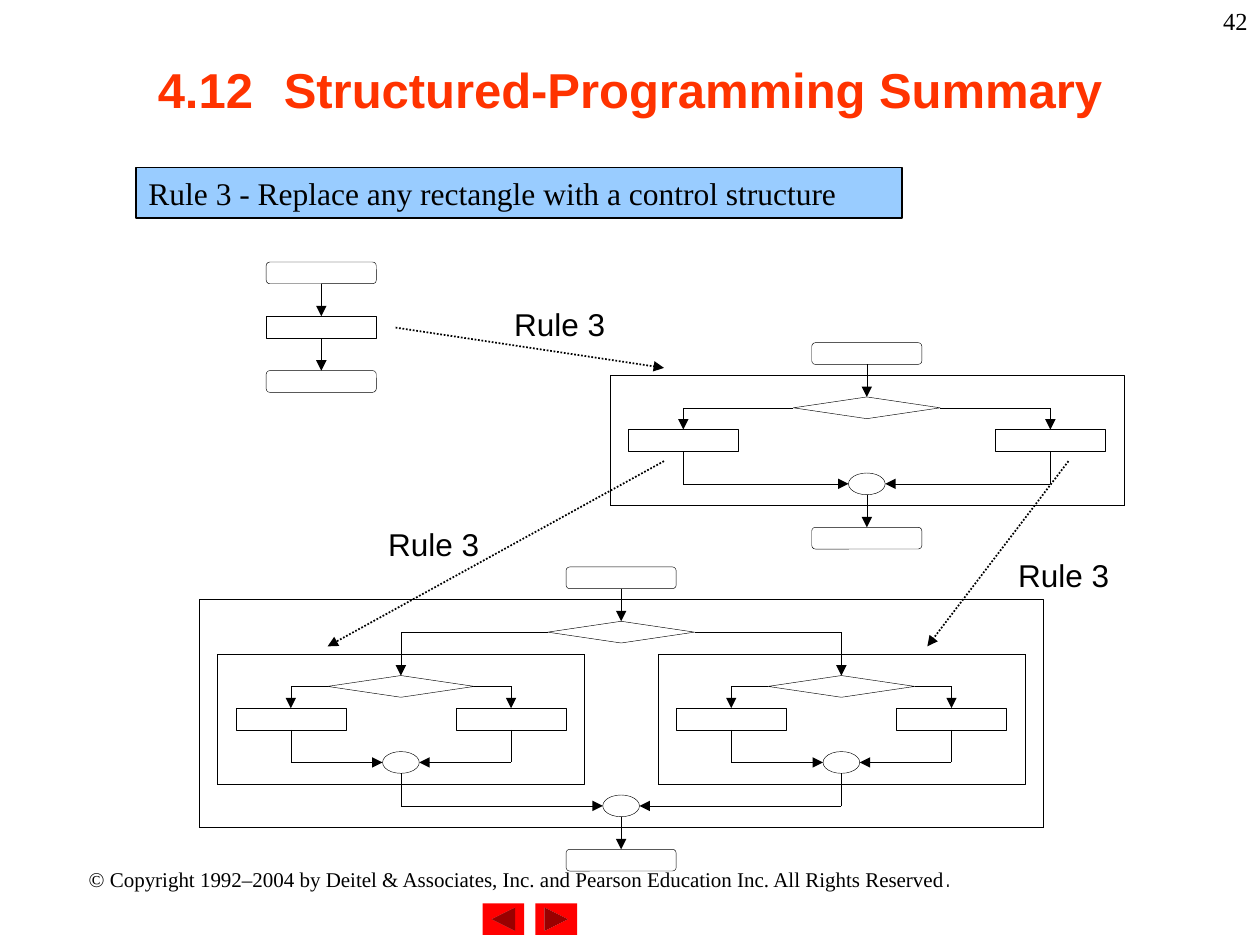
import pptx
import pptx.dml.color
import pptx.enum.dml
import pptx.enum.shapes
import pptx.enum.text
import pptx.oxml
import pptx.oxml.ns
import pptx.util
from lxml import etree

Inches, Pt = pptx.util.Inches, pptx.util.Pt
SHAPE = pptx.enum.shapes.MSO_SHAPE
ALIGN = pptx.enum.text.PP_ALIGN
ANCHOR = pptx.enum.text.MSO_ANCHOR
DOTTED = pptx.enum.dml.MSO_LINE.ROUND_DOT

BLACK = pptx.dml.color.RGBColor(0x00, 0x00, 0x00)
WHITE = pptx.dml.color.RGBColor(0xFF, 0xFF, 0xFF)
RED = pptx.dml.color.RGBColor(0xFF, 0x00, 0x00)
ORANGE = pptx.dml.color.RGBColor(0xFF, 0x33, 0x00)
SKY = pptx.dml.color.RGBColor(0x99, 0xCC, 0xFF)

# The largest frame spans 46 columns and 21 rows of the flowchart grid.
COL = 6.7 / 46
ROW = 1.81 / 21
HAIRLINE = 0.25
BOX_COLS, DIAMOND_COLS, MERGE_COLS = 6, 8, 2
NODE_ROWS, ARROW_ROWS = 2, 3


def add_outline(slide, kind, left, top, width, height, fill=None,
                weight=HAIRLINE, dash=None):
    shape = slide.shapes.add_shape(
        kind, Inches(left), Inches(top), Inches(width), Inches(height))
    shape.shadow.inherit = False
    if fill is None:
        shape.fill.background()
    else:
        shape.fill.solid()
        shape.fill.fore_color.rgb = fill
    if weight:
        shape.line.color.rgb = BLACK
        shape.line.width = Pt(weight)
        shape.line.dash_style = dash
    else:
        shape.line.fill.background()
    return shape


def add_line(slide, start, end, arrow=False, weight=HAIRLINE, dash=None):
    line = slide.shapes.add_connector(
        pptx.enum.shapes.MSO_CONNECTOR.STRAIGHT,
        *(Inches(length) for length in (*start, *end)))
    line.line.color.rgb = BLACK
    line.line.width = Pt(weight)
    line.line.dash_style = dash
    if arrow:
        outline = line.line._get_or_add_ln()
        etree.SubElement(outline, pptx.oxml.ns.qn("a:tailEnd"), type="triangle")
    etree.SubElement(line._element.spPr, pptx.oxml.ns.qn("a:effectLst"))


def format_text(frame, size, font, color=BLACK, align=ALIGN.LEFT,
                anchor=ANCHOR.TOP, margins=(0.1, 0.05)):
    frame.word_wrap = True
    frame.vertical_anchor = anchor
    frame.margin_left = frame.margin_right = Inches(margins[0])
    frame.margin_top = frame.margin_bottom = Inches(margins[1])
    paragraph = frame.paragraphs[0]
    paragraph.alignment = align
    paragraph.font.size = Pt(size)
    paragraph.font.color.rgb = color
    if font:
        paragraph.font.name = font
    return paragraph


def add_text(slide, text, left, top, width, height, size, font, **style):
    box = slide.shapes.add_textbox(
        Inches(left), Inches(top), Inches(width), Inches(height))
    box.text_frame.text = text
    return format_text(box.text_frame, size, font, **style)


class Flowchart:
    """Draws on the grid, with columns counted from the centre line."""

    def __init__(self, slide, center, top):
        self.slide, self.center, self.top = slide, center, top

    def point(self, col, row):
        return self.center + col * COL, self.top + row * ROW

    def node(self, kind, col, row, cols, rows=NODE_ROWS, **style):
        """Place a shape centred on col, with its top at row."""
        left, top = self.point(col - cols / 2, row)
        add_outline(self.slide, kind, left, top, cols * COL, rows * ROW, **style)

    def link(self, start, end, arrow=True):
        add_line(self.slide, self.point(*start), self.point(*end), arrow)

    def process(self, col, row):
        self.node(SHAPE.RECTANGLE, col, row, BOX_COLS)
        return row + NODE_ROWS

    def selection(self, col, row, spreads):
        """Draw a framed if/else, nested once per spread; return its exit row."""
        spread, *inner = spreads
        split = row + 1
        branch_top = split + (4 if inner else 2)
        self.node(SHAPE.DIAMOND, col, row, DIAMOND_COLS, fill=WHITE)
        for side in (-1, 1):
            branch = col + side * spread
            self.link((col + side * DIAMOND_COLS / 2, split), (branch, split), False)
            self.link((branch, split), (branch, branch_top))
            if inner:
                branch_end = self.selection(branch, branch_top, inner)
            else:
                branch_end = self.process(branch, branch_top)
            merge = branch_end + ARROW_ROWS
            self.link((branch, branch_end), (branch, merge), False)
            self.link((branch, merge), (col + side * MERGE_COLS / 2, merge))
        self.node(SHAPE.OVAL, col, merge - 1, MERGE_COLS)
        half_width = sum(spreads) + BOX_COLS / 2 + len(spreads)
        self.node(SHAPE.RECTANGLE, col, row - 2, 2 * half_width,
                  merge + 4 - row, dash=DOTTED)
        return merge + 1

    def draw(self, spreads=()):
        """Draw the terminals around a selection, or around a plain process."""
        self.node(SHAPE.ROUNDED_RECTANGLE, 0, 0, BOX_COLS)
        body = NODE_ROWS + ARROW_ROWS
        self.link((0, NODE_ROWS), (0, body))
        body_end = self.selection(0, body, spreads) if spreads else self.process(0, body)
        self.link((0, body_end), (0, body_end + ARROW_ROWS))
        self.node(SHAPE.ROUNDED_RECTANGLE, 0, body_end + ARROW_ROWS, BOX_COLS)


def add_title(slide, text):
    title = slide.shapes.title
    title.left, title.top = Inches(0.75), Inches(0.08)
    title.width, title.height = Inches(8.5), Inches(1.25)
    title.text_frame.text = text
    properties = title.text_frame.paragraphs[0]._p.get_or_add_pPr()
    stops = etree.SubElement(properties, pptx.oxml.ns.qn("a:tabLst"))
    for inch in range(8):
        etree.SubElement(stops, pptx.oxml.ns.qn("a:tab"),
                         pos=str(Inches(inch)), algn="l")
    paragraph = format_text(title.text_frame, 28, "Arial", ORANGE,
                            ALIGN.CENTER, ANCHOR.MIDDLE)
    paragraph.font.bold = True


def add_footer(slide):
    notice = add_text(
        slide, "© Copyright 1992–2004 by Deitel & Associates, Inc. and "
        "Pearson Education Inc. All Rights Reserved",
        0.5, 6.83, 7.25, 0.3, 12, None, align=ALIGN.CENTER)
    notice.runs[0].font.name = "Times New Roman"
    period = notice.add_run()
    period.text = "."
    period.font.name = "TeX Gyre Adventor"
    for left, rotation in ((4.25, 0), (3.83, 180)):
        button = add_outline(slide, SHAPE.ACTION_BUTTON_FORWARD_OR_NEXT,
                             left, 7.17, 0.33, 0.25, RED, weight=0)
        button.rotation = rotation


def main():
    deck = pptx.Presentation()
    deck.slide_width, deck.slide_height = Inches(10), Inches(7.5)
    slide = deck.slides.add_slide(deck.slide_layouts[5])
    add_footer(slide)
    add_title(slide, "4.12\tStructured-Programming Summary")

    Flowchart(slide, 2.55, 2.08).draw()
    Flowchart(slide, 6.88, 2.72).draw((10,))
    Flowchart(slide, 4.93, 4.5).draw((12, 6))

    for start, end, label in (
            ((3.14, 2.6), (5.27, 2.92), (4.08, 2.42)),
            ((5.27, 3.66), (2.6, 5.13), (3.08, 4.17)),
            ((8.48, 3.66), (7.36, 5.13), (8.08, 4.41))):
        add_line(slide, start, end, arrow=True, weight=1, dash=DOTTED)
        add_text(slide, "Rule 3", *label, 0.75, 0.17, 18, "Arial", margins=(0, 0))

    rule = add_outline(slide, SHAPE.RECTANGLE, 1.08, 1.33, 6.08, 0.4, SKY, 0.75)
    rule.text_frame.text = "Rule 3 - Replace any rectangle with a control structure"
    format_text(rule.text_frame, 18, "Times New Roman", anchor=ANCHOR.MIDDLE)
    add_text(slide, "42", 7.92, 0, 2.08, 0.5, 14, "Times New Roman", align=ALIGN.RIGHT)
    deck.save("out.pptx")


if __name__ == "__main__":
    main()
